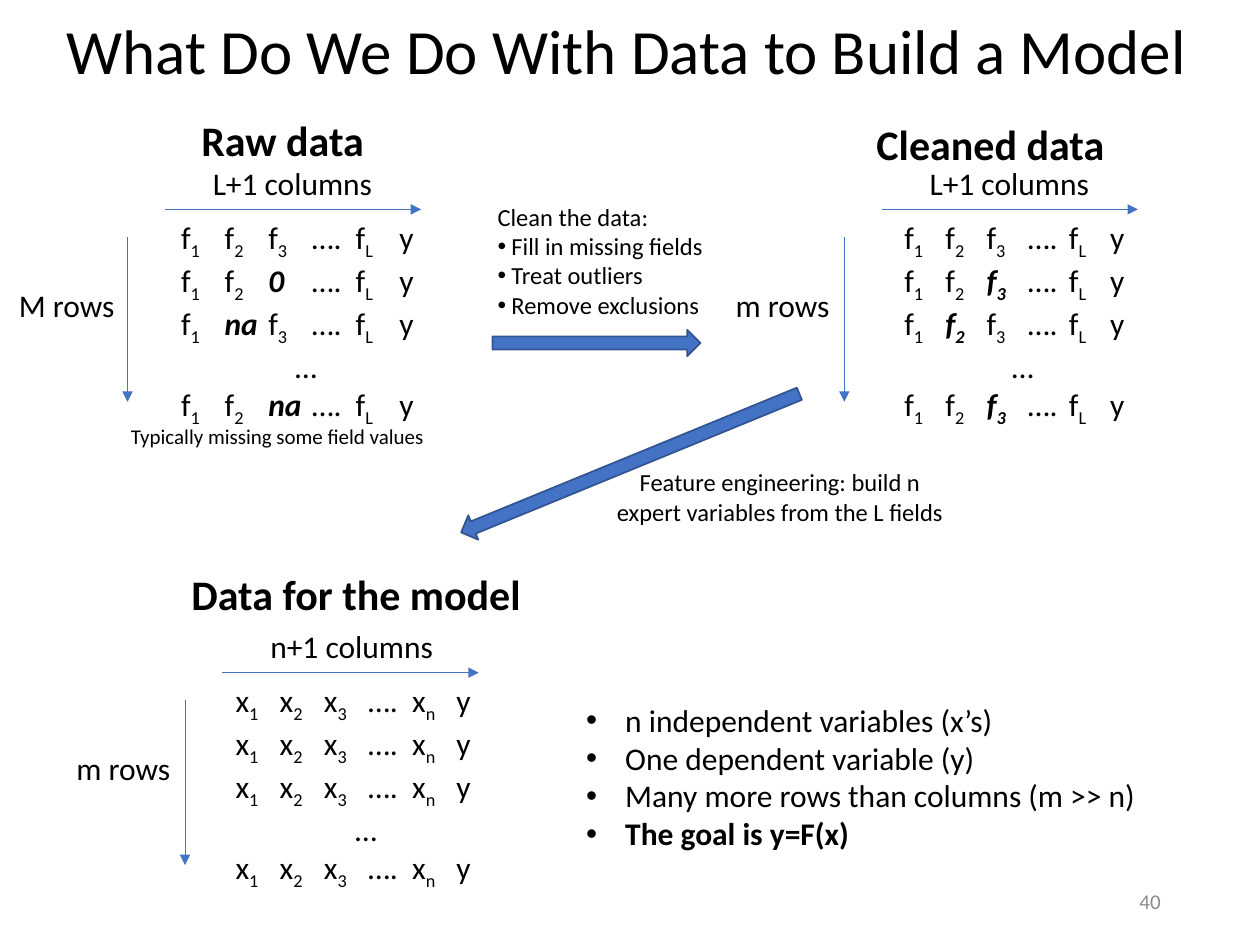
from lxml import etree
from pptx import Presentation
from pptx.dml.color import RGBColor
from pptx.enum.shapes import MSO_CONNECTOR, MSO_SHAPE
from pptx.enum.text import MSO_ANCHOR, MSO_AUTO_SIZE, PP_ALIGN
from pptx.oxml.ns import qn
from pptx.util import Cm, Pt

STRAIGHT = MSO_CONNECTOR.STRAIGHT
RIGHT_ARROW = MSO_SHAPE.RIGHT_ARROW
MIDDLE = MSO_ANCHOR.MIDDLE
TOP = MSO_ANCHOR.TOP
NO_FIT = MSO_AUTO_SIZE.NONE
GROW = MSO_AUTO_SIZE.SHAPE_TO_FIT_TEXT
LEFT, CENTER, RIGHT = PP_ALIGN.LEFT, PP_ALIGN.CENTER, PP_ALIGN.RIGHT

FONT = "Calibri"
COLORS = {"text": "000000", "muted": "8C8C8C", "arrow": "4472C4", "outline": "325491"}

RAW_ROWS = [
    "f_1 f_2 f_3 …. f_L y",
    "f_1 f_2 *0 …. f_L y",
    "f_1 *na f_3 …. f_L y",
    "…",
    "f_1 f_2 *na …. f_L y",
]
CLEANED_ROWS = [
    "f_1 f_2 f_3 …. f_L y",
    "f_1 f_2 *f_3 …. f_L y",
    "f_1 *f_2 f_3 …. f_L y",
    "…",
    "f_1 f_2 *f_3 …. f_L y",
]
MODEL_ROW = "x_1 x_2 x_3 …. x_n y"
MODEL_ROWS = [MODEL_ROW] * 3 + ["…", MODEL_ROW]


def color(name):
    return RGBColor.from_string(COLORS[name])


def place(shape, left, top, width, height):
    shape.left, shape.top = Cm(left), Cm(top)
    shape.width, shape.height = Cm(width), Cm(height)


def style(paragraph, size, bold=False, name="text", align=LEFT):
    paragraph.alignment = align
    font = paragraph.font
    font.name, font.size, font.bold = FONT, Pt(size), bold
    font.color.rgb = color(name)


def add_bullet(paragraph, indent):
    properties = paragraph._p.get_or_add_pPr()
    properties.set("marL", str(Cm(indent)))
    properties.set("indent", str(-Cm(indent)))
    etree.SubElement(properties, qn("a:buFont"), typeface="Arial")
    etree.SubElement(properties, qn("a:buChar"), char="•")


def add_text_box(slide, box, wrap=False):
    frame = slide.shapes.add_textbox(*map(Cm, box)).text_frame
    frame.word_wrap = wrap
    frame.auto_size = GROW
    return frame


def add_label(slide, box, text, size, bold=False, wrap=False, align=LEFT):
    frame = add_text_box(slide, box, wrap)
    frame.text = text
    style(frame.paragraphs[0], size, bold, align=align)


def add_thin_arrow(slide, *ends):
    connector = slide.shapes.add_connector(STRAIGHT, *map(Cm, ends))
    connector.line.color.rgb = color("arrow")
    connector.line.width = Pt(0.5)
    properties = connector._element.spPr
    etree.SubElement(properties.find(qn("a:ln")), qn("a:tailEnd"), type="triangle")
    etree.SubElement(properties, qn("a:effectLst"))


def add_block_arrow(slide, box, rotation=0):
    shape = slide.shapes.add_shape(RIGHT_ARROW, *map(Cm, box))
    shape.rotation = rotation
    shape.shadow.inherit = False
    shape.fill.solid()
    shape.fill.fore_color.rgb = color("arrow")
    shape.line.color.rgb = color("outline")
    shape.line.width = Pt(1)


def add_cell(paragraph, cell):
    emphasis = cell.startswith("*")
    base, _, subscript = cell.lstrip("*").partition("_")
    for text, baseline in ((base, 0), (subscript, -25000)):
        if text:
            run = paragraph.add_run()
            run.text = text
            if emphasis:
                run.font.bold = run.font.italic = True
            if baseline:
                run.font._element.set("baseline", str(baseline))


def add_matrix(slide, box, rows, pitch):
    frame = add_text_box(slide, box, wrap=True)
    frame.margin_left, frame.margin_right = Cm(0.4), 0
    for number, row in enumerate(rows):
        paragraph = frame.add_paragraph() if number else frame.paragraphs[0]
        cells = row.split()
        if len(cells) > 1:
            tabs = etree.SubElement(paragraph._p.get_or_add_pPr(), qn("a:tabLst"))
            for column in range(1, len(cells)):
                etree.SubElement(tabs, qn("a:tab"), pos=str(Cm(column * pitch)), algn="l")
        for column, cell in enumerate(cells):
            if column:
                paragraph.add_run().text = "\t"
            add_cell(paragraph, cell)
        style(paragraph, 18, align=LEFT if len(cells) > 1 else CENTER)


def add_data_panel(slide, x, y, columns, row_label, rows, matrix_left, matrix_width, pitch):
    add_label(slide, (x + 1.47, y - 1.04, 3.8, 1.02), columns, 18)
    add_thin_arrow(slide, x + 0.75, y, x + 5.92, y)
    add_thin_arrow(slide, x, y + 0.56, x, y + 3.88)
    add_label(slide, (x - 2.44, y + 1.42, 2.43, 1.02), row_label, 18)
    add_matrix(slide, (matrix_left, y + 0.05, matrix_width, 4.11), rows, pitch)


def fill_title(slide):
    title = slide.shapes.title
    place(title, 1.09, -0.28, 23.24, 2.74)
    frame = title.text_frame
    frame.text = "What Do We Do With Data to Build a Model"
    frame.auto_size = NO_FIT
    frame.vertical_anchor = MIDDLE
    paragraph = frame.paragraphs[0]
    paragraph.line_spacing = 0.9
    style(paragraph, 36)


def fill_goals(slide):
    body = slide.placeholders[1]
    place(body, 11.56, 14, 11.71, 3.33)
    frame = body.text_frame
    frame.text = "\n".join([
        "n independent variables (x’s)",
        "One dependent variable (y)",
        "Many more rows than columns (m >> n)",
        "The goal is y=F(x)",
    ])
    frame.auto_size = NO_FIT
    frame.vertical_anchor = TOP
    for paragraph in frame.paragraphs:
        add_bullet(paragraph, 0.79)
        paragraph.space_before = Pt(0)
        style(paragraph, 18, bold=paragraph.text.startswith("The goal"))


def add_cleaning_steps(slide):
    frame = add_text_box(slide, (9.78, 3.94, 4.7, 2.64))
    frame.text = "Clean the data:\nFill in missing fields\nTreat outliers\nRemove exclusions"
    for number, paragraph in enumerate(frame.paragraphs):
        if number:
            add_bullet(paragraph, 0.28)
        style(paragraph, 14)


def add_page_number(slide):
    frame = add_text_box(slide, (17.93, 17.65, 5.72, 1.02), wrap=True)
    frame.auto_size = NO_FIT
    frame.vertical_anchor = MIDDLE
    frame.text = "40"
    style(frame.paragraphs[0], 12, name="muted", align=RIGHT)


def main():
    presentation = Presentation()
    presentation.slide_width, presentation.slide_height = Cm(25.4), Cm(19.05)
    slide = presentation.slides.add_slide(presentation.slide_layouts[1])
    fill_title(slide)
    fill_goals(slide)
    add_page_number(slide)
    add_data_panel(slide, 2.57, 4.22, "L+1 columns", "M rows", RAW_ROWS, 3.25, 5.44, 0.88)
    add_data_panel(slide, 3.73, 13.56, "n+1 columns", "m rows", MODEL_ROWS, 4.35, 5.66, 0.89)
    add_data_panel(slide, 17.02, 4.22, "L+1 columns", "m rows", CLEANED_ROWS, 17.83, 5.18, 0.83)
    add_label(slide, (3.81, 2.18, 3.84, 1.27), "Raw data", 24, bold=True)
    add_label(slide, (17.42, 2.26, 5.16, 1.27), "Cleaned data", 24, bold=True)
    add_label(slide, (3.61, 11.33, 7.21, 1.27), "Data for the model", 24, bold=True)
    add_block_arrow(slide, (9.93, 6.65, 4.19, 0.53))
    add_cleaning_steps(slide)
    add_label(slide, (2.39, 8.41, 7.01, 0.76), "Typically missing some field values", 12, wrap=True)
    add_block_arrow(slide, (9.02, 9.07, 7.37, 0.53), 157.7)
    add_label(slide, (12.12, 9.3, 7.21, 1.45),
              "Feature engineering: build n expert variables from the L fields",
              14, wrap=True, align=CENTER)
    presentation.save("out.pptx")


if __name__ == "__main__":
    main()
